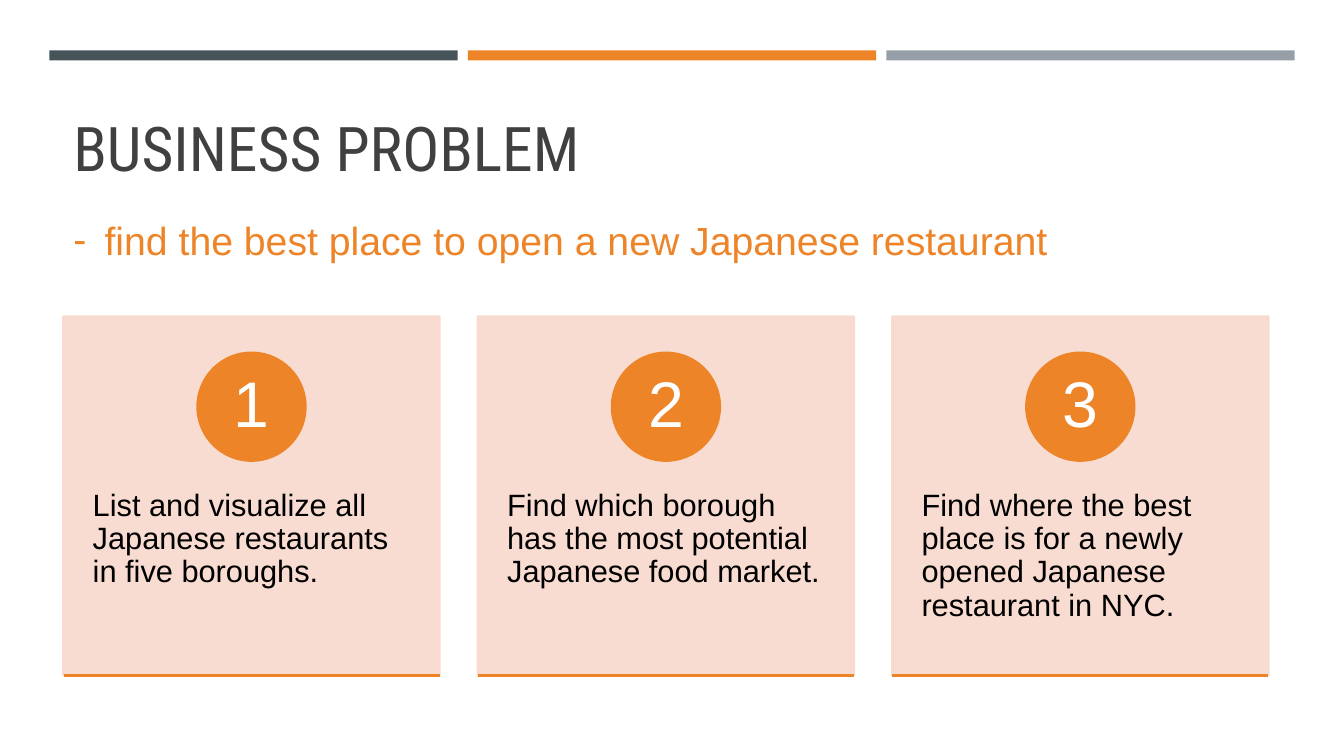
from lxml.etree import SubElement
from pptx import Presentation
from pptx.dml.color import RGBColor
from pptx.enum.shapes import MSO_CONNECTOR, MSO_SHAPE
from pptx.enum.text import MSO_ANCHOR, PP_ALIGN
from pptx.oxml.ns import qn
from pptx.util import Inches, Pt

# Content
TITLE = "BUSINESS PROBLEM"
GOAL = "find the best place to open a new Japanese restaurant"
STEPS = [
    "List and visualize all Japanese restaurants in five boroughs.",
    "Find which borough has the most potential Japanese food market.",
    "Find where the best place is for a newly opened Japanese restaurant in NYC.",
]

# Colours, fonts and type sizes
THEME = {
    "slate": "465359", "orange": "ED8428", "grey": "969FA7",
    "card": "F8D9CD", "title": "404040", "black": "000000", "white": "FFFFFF",
    "heading_font": "Roboto Condensed", "body_font": "Arial",
    "title_size": 44, "goal_size": 28, "step_size": 22, "number_size": 46,
    "line_width": 1.75, "card_opacity": 90,
}

# Layout in inches
BAR_LEFT, BAR_TOP, BAR_WIDTH, BAR_HEIGHT, BAR_PITCH = 0.49, 0.5, 4.05, 0.1, 4.15
CARD_LEFT, CARD_TOP, CARD_WIDTH, CARD_HEIGHT, CARD_PITCH = 0.63, 3.14, 3.73, 3.56, 4.11
BADGE_SIZE, BADGE_DROP = 1.07, 0.36
GOAL_INDENT = 0.31


def color(name):
    return RGBColor.from_string(THEME[name])


def apply(target, values):
    for name, value in values.items():
        setattr(target, name, value)


def add_block(kind, box, fill, outlined=True):
    block = slide.shapes.add_shape(kind, *map(Inches, box))
    block.shadow.inherit = False
    block.fill.solid()
    block.fill.fore_color.rgb = color(fill)
    if outlined:
        block.line.color.rgb = color(fill)
        block.line.width = Pt(THEME["line_width"])
    else:
        block.line.fill.background()
    return block


def write(holder, text, size, ink, font="body_font", margins=(0.1, 0.05),
          anchor=MSO_ANCHOR.TOP, **paragraph_format):
    side, top = map(Inches, margins)
    frame = holder.text_frame
    apply(frame, {"word_wrap": True, "vertical_anchor": anchor,
                  "margin_left": side, "margin_right": side,
                  "margin_top": top, "margin_bottom": Inches(0.01)})
    paragraph = frame.paragraphs[0]
    apply(paragraph, {"alignment": PP_ALIGN.LEFT, **paragraph_format})
    run = paragraph.add_run()
    run.text = text
    apply(run.font, {"name": THEME[font], "size": Pt(THEME[size])})
    run.font.color.rgb = color(ink)
    return paragraph


def make_translucent(block):
    for tint in block._element.spPr.iter(qn("a:srgbClr")):
        SubElement(tint, qn("a:alpha"), val=str(THEME["card_opacity"] * 1000))


deck = Presentation()
apply(deck, {"slide_width": Inches(13.33), "slide_height": Inches(7.5)})
slide = deck.slides.add_slide(deck.slide_layouts[6])

# Bars across the top
for column, bar_color in enumerate(("slate", "orange", "grey")):
    add_block(MSO_SHAPE.RECTANGLE,
              (BAR_LEFT + column * BAR_PITCH, BAR_TOP, BAR_WIDTH, BAR_HEIGHT),
              bar_color, outlined=False)

# Title
title = slide.shapes.add_textbox(*map(Inches, (CARD_LEFT, 0.8, 12.06, 1.04)))
write(title, TITLE, "title_size", "title", font="heading_font",
      anchor=MSO_ANCHOR.BOTTOM, line_spacing=0.9)

# Goal with a dash bullet
goal = slide.shapes.add_textbox(*map(Inches, (CARD_LEFT, 2.1, 11.3, 1.04)))
goal_line = write(goal, GOAL, "goal_size", "orange")
goal_format = goal_line._p.get_or_add_pPr()
goal_format.set("marL", str(Inches(GOAL_INDENT)))
goal_format.set("indent", str(-Inches(GOAL_INDENT)))
SubElement(goal_format, qn("a:buFont"), typeface=THEME["body_font"])
SubElement(goal_format, qn("a:buChar"), char="-")

# Numbered step cards
for column, step in enumerate(STEPS):
    left = CARD_LEFT + column * CARD_PITCH
    bottom = CARD_TOP + CARD_HEIGHT
    card = add_block(MSO_SHAPE.RECTANGLE, (left, CARD_TOP, CARD_WIDTH, CARD_HEIGHT), "card")
    make_translucent(card)
    write(card, step, "step_size", "black", margins=(0.29, 1.72), line_spacing=0.9)

    badge = add_block(MSO_SHAPE.OVAL,
                      (left + (CARD_WIDTH - BADGE_SIZE) / 2, CARD_TOP + BADGE_DROP,
                       BADGE_SIZE, BADGE_SIZE), "orange")
    write(badge, str(column + 1), "number_size", "white", margins=(0.08, 0.01),
          anchor=MSO_ANCHOR.MIDDLE, alignment=PP_ALIGN.CENTER, line_spacing=0.9)

    baseline = slide.shapes.add_connector(
        MSO_CONNECTOR.STRAIGHT, *map(Inches, (left, bottom, left + CARD_WIDTH, bottom)))
    baseline.line.color.rgb = color("orange")
    baseline.line.width = Pt(THEME["line_width"])
    SubElement(baseline._element.spPr, qn("a:effectLst"))

deck.save("out.pptx")
